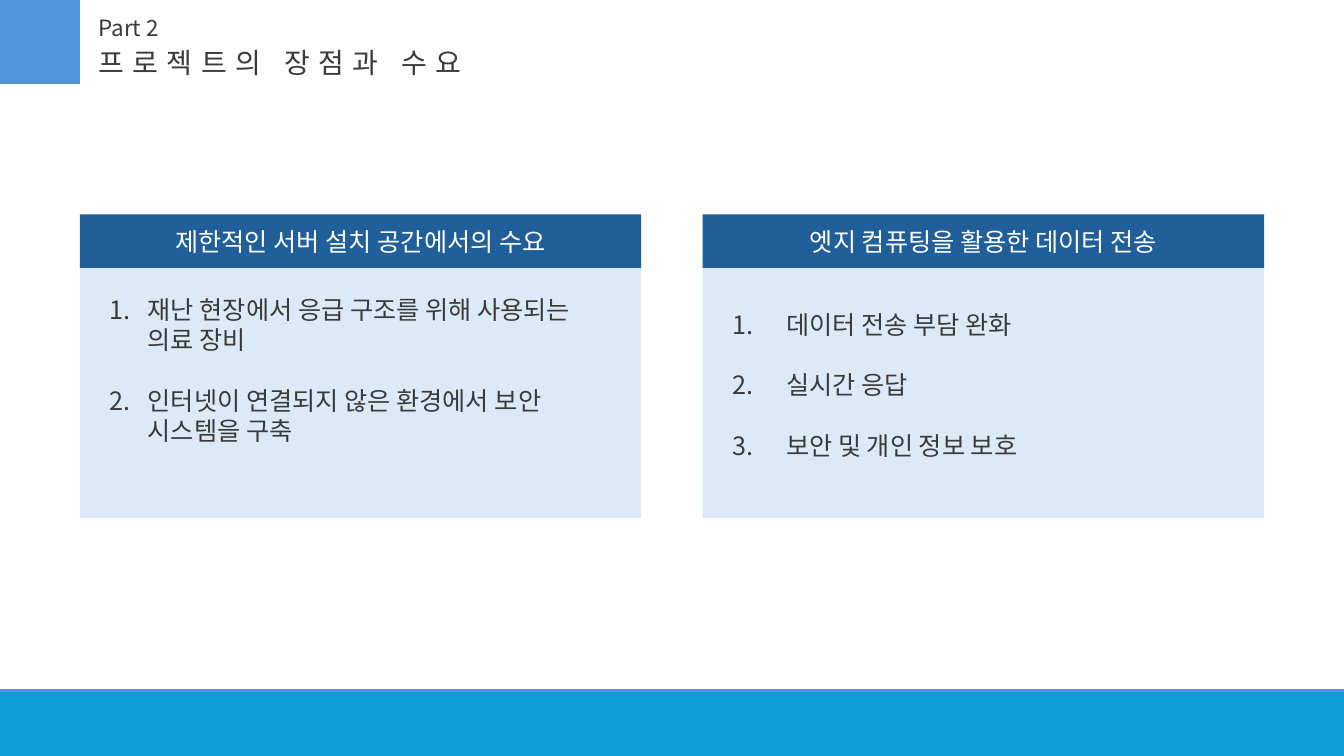
"""Build the slide on project strengths and demand."""
from dataclasses import dataclass

import pptx
import pptx.dml.color
import pptx.enum.shapes
import pptx.enum.text
import pptx.util
from lxml import etree

Pt = pptx.util.Pt
RGBColor = pptx.dml.color.RGBColor

FONT = "Noto Sans CJK KR"
INK = RGBColor(0x3A, 0x3A, 0x3A)
WHITE = RGBColor(0xFF, 0xFF, 0xFF)
FOOTER = RGBColor(0x0F, 0x9E, 0xD5)
ACCENT = RGBColor(0x4E, 0x95, 0xD9)
HEADER = RGBColor(0x21, 0x5F, 0x9A)
PANEL = RGBColor(0xDC, 0xEA, 0xF7)

CARD_TOP, CARD_W, HEADER_H, BODY_H = 153.2, 401, 38.2, 178.5
PADDING, LINE_H = 14.4, 21.6


@dataclass
class Card:
    left: float
    title: str
    items: list[str]
    list_top: float
    indent: float


CARDS = [
    Card(57, "제한적인 서버 설치 공간에서의 수요",
         ["재난 현장에서 응급 구조를 위해 사용되는 의료 장비",
          "인터넷이 연결되지 않은 환경에서 보안 시스템을 구축"], 206.6, 27),
    Card(502, "엣지 컴퓨팅을 활용한 데이터 전송",
         ["데이터 전송 부담 완화", "실시간 응답", "보안 및 개인 정보 보호"], 217.4, 38),
]


def add_sub(parent, tag: str, **attrs: str) -> None:
    """Append a DrawingML child element."""
    etree.SubElement(parent, pptx.oxml.ns.qn(tag), attrs)


def add_rect(s, left: float, top: float, width: float, height: float, fill: RGBColor):
    """Add a plain filled rectangle."""
    sp = s.shapes.add_shape(pptx.enum.shapes.MSO_SHAPE.RECTANGLE,
                            Pt(left), Pt(top), Pt(width), Pt(height))
    sp.shadow.inherit = False
    sp.fill.solid()
    sp.fill.fore_color.rgb = fill
    sp.line.fill.background()
    return sp


def format_text(p, size: float, color: RGBColor, spacing: float = 0) -> None:
    """Apply font, size, colour and letter spacing to a paragraph."""
    for r in p.runs:
        r.font.size = Pt(size)
        r.font.color.rgb = color
        r.font.name = FONT
        rpr = r.font._element
        add_sub(rpr, "a:ea", typeface=FONT)
        if spacing:
            rpr.set("spc", str(round(spacing * 100)))


def add_text(s, left: float, top: float, width: float, height: float,
             lines: list[str], size: float, wrap: bool = True, spacing: float = 0):
    """Add a text box with one paragraph per line."""
    tf = s.shapes.add_textbox(Pt(left), Pt(top), Pt(width), Pt(height)).text_frame
    tf.word_wrap = wrap
    tf.text = "\n".join(lines)
    for p in tf.paragraphs:
        format_text(p, size, INK, spacing)
    return tf


def add_card(s, card: Card) -> None:
    """Draw a header, its panel and its numbered list."""
    add_rect(s, card.left, CARD_TOP + HEADER_H, CARD_W, BODY_H, PANEL)
    tf = add_rect(s, card.left, CARD_TOP, CARD_W, HEADER_H, HEADER).text_frame
    tf.text = card.title
    tf.vertical_anchor = pptx.enum.text.MSO_ANCHOR.MIDDLE
    tf.paragraphs[0].alignment = pptx.enum.text.PP_ALIGN.CENTER
    format_text(tf.paragraphs[0], 18, WHITE)

    tf = add_text(s, card.left + PADDING, card.list_top, CARD_W - 2 * PADDING,
                  5 * LINE_H + 7.2, card.items, 18)
    for i, p in enumerate(tf.paragraphs):
        if i:
            p.space_before = Pt(LINE_H)
        ppr = p._p.get_or_add_pPr()
        ppr.set("marL", str(Pt(card.indent)))
        ppr.set("indent", str(-Pt(card.indent)))
        add_sub(ppr, "a:buFont", typeface="+mj-lt")
        add_sub(ppr, "a:buAutoNum", type="arabicPeriod")


def main() -> None:
    """Assemble and save the slide."""
    prs = pptx.Presentation()
    prs.slide_width, prs.slide_height = Pt(960), Pt(540)
    s = prs.slides.add_slide(prs.slide_layouts[6])
    footer = add_rect(s, -3, 493, 964, 48.5, FOOTER)
    footer.line.color.rgb = ACCENT
    footer.line.width = Pt(2)
    add_rect(s, 0, 0, 57, 60, ACCENT)
    add_text(s, 63.3, 6.4, 58.3, 26.6, ["Part 2"], 16, wrap=False)
    add_text(s, 63.3, 28.8, 303, 31.7, ["프로젝트의 장점과 수요"], 20, spacing=6)
    for card in CARDS:
        add_card(s, card)
    prs.save("out.pptx")


if __name__ == "__main__":
    main()
